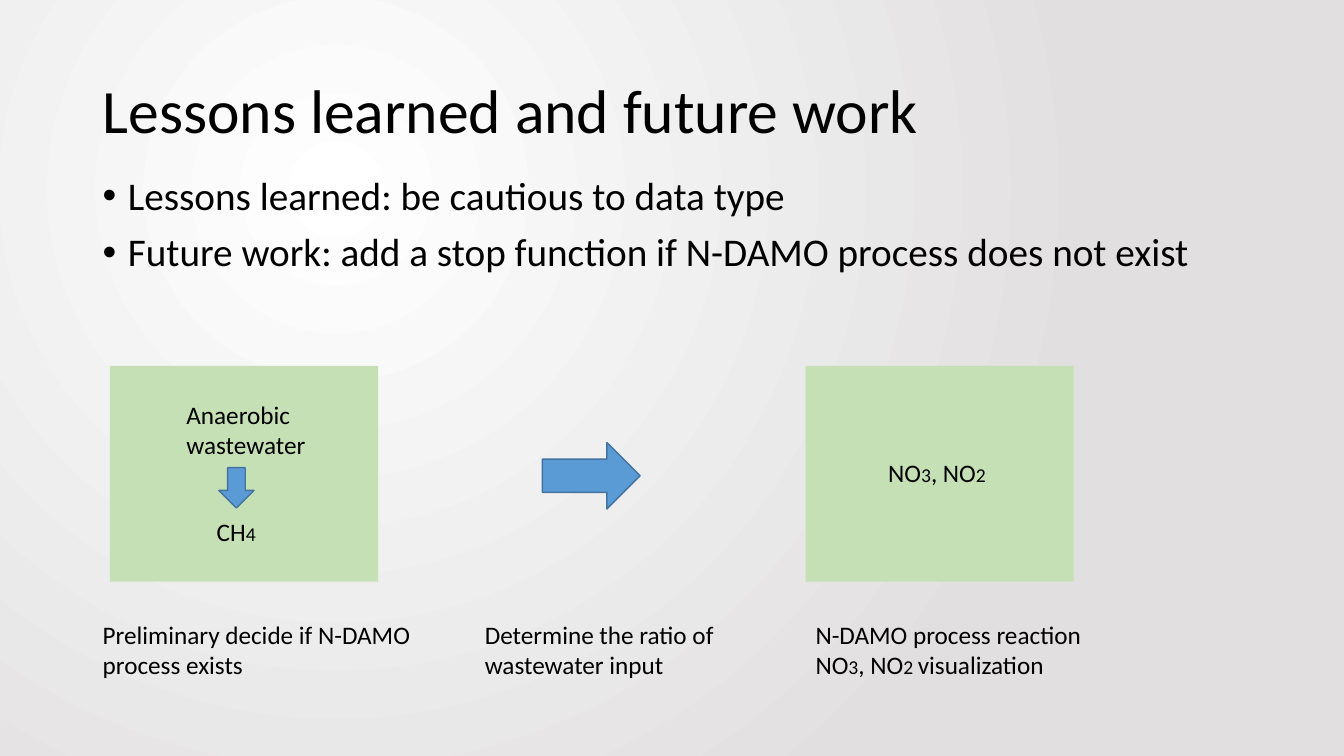
"""Build the "Lessons learned and future work" slide."""
from lxml import etree
from pptx import Presentation
from pptx.dml.color import RGBColor
from pptx.enum import shapes, text
from pptx.oxml.ns import qn
from pptx.util import Inches, Pt


def add_text(box, paragraphs, size=18, anchor=text.MSO_ANCHOR.TOP):
    """Add a text box; every second run of a paragraph is a small index."""
    frame = slide.shapes.add_textbox(*map(Inches, box)).text_frame
    frame.word_wrap = True
    frame.vertical_anchor = anchor
    for index, runs in enumerate(paragraphs):
        paragraph = frame.paragraphs[0] if index == 0 else frame.add_paragraph()
        paragraph.font.name = "Calibri"
        paragraph.font.size = Pt(size)
        paragraph.font.color.rgb = RGBColor.from_string("000000")
        for position, words in enumerate(runs):
            run = paragraph.add_run()
            run.text = words
            if len(runs) > 1:
                run.font.size = Pt(14 if position % 2 else size)
    return frame


def add_filled(kind, box, fill, line=None):
    """Add a preset shape with a solid fill and an optional outline."""
    shape = slide.shapes.add_shape(kind, *map(Inches, box))
    shape.shadow.inherit = False
    shape.fill.solid()
    shape.fill.fore_color.rgb = RGBColor.from_string(fill)
    if line:
        shape.line.color.rgb = RGBColor.from_string(line)
        shape.line.width = Pt(1)
    else:
        shape.line.fill.background()


presentation = Presentation()
presentation.slide_width = Inches(13.33)
presentation.slide_height = Inches(7.5)
slide = presentation.slides.add_slide(presentation.slide_layouts[6])

background = slide.background.fill
background.gradient()
for stop, color, position in zip(background.gradient_stops, ("FFFFFF", "E1DFDF"), (0, 1)):
    stop.color.rgb = RGBColor.from_string(color)
    stop.position = position
linear = next(slide.element.iter(qn("a:lin")))
radial = etree.Element(qn("a:path"), {"path": "circle"})
etree.SubElement(radial, qn("a:fillToRect"), l="50000", t="50000", r="100000", b="100000")
linear.getparent().replace(linear, radial)

title = add_text((0.92, 0.4, 11.5, 1.45), [["Lessons learned and future work"]],
                 44, text.MSO_ANCHOR.MIDDLE)
title.paragraphs[0].line_spacing = 0.9

body = add_text((0.92, 1.7, 11.5, 5.05), [
    ["Lessons learned: be cautious to data type"],
    ["Future work: add a stop function if N-DAMO process does not exist"],
], 28)
for paragraph in body.paragraphs:
    paragraph.line_spacing = 0.9
    paragraph.space_before = Pt(10)
    properties = paragraph._p.get_or_add_pPr()
    properties.set("marL", str(Inches(0.25)))
    properties.set("indent", str(-Inches(0.25)))
    font_defaults = properties.find(qn("a:defRPr"))
    for tag, attributes in (("a:buFont", {"typeface": "Arial"}), ("a:buChar", {"char": "•"})):
        font_defaults.addprevious(etree.Element(qn(tag), attributes))

for left in (1.09, 7.99):
    add_filled(shapes.MSO_SHAPE.RECTANGLE, (left, 3.63, 2.66, 2.14), "C5E0B4")
add_filled(shapes.MSO_SHAPE.RIGHT_ARROW, (5.38, 4.39, 0.97, 0.66), "5B9BD5", "43739E")
add_filled(shapes.MSO_SHAPE.DOWN_ARROW, (2.17, 4.64, 0.35, 0.4), "5B9BD5", "43739E")

nitrogen = ["NO", "3", ", NO", "2"]
add_text((1.75, 3.91, 1.88, 0.71), [["Anaerobic wastewater"]])
add_text((2.05, 5.07, 1.88, 0.4), [["CH", "4"]])
add_text((8.71, 4.49, 1.88, 0.4), [nitrogen])

captions = [
    (0.92, [["Preliminary decide if N-DAMO process exists"]]),
    (4.71, [["Determine the ratio of wastewater input"]]),
    (7.99, [["N-DAMO process reaction"], nitrogen[:3] + ["2 ", "visualization"]]),
]
for left, paragraphs in captions:
    add_text((left, 6.09, 3.65, 0.71), paragraphs)

presentation.save("out.pptx")
